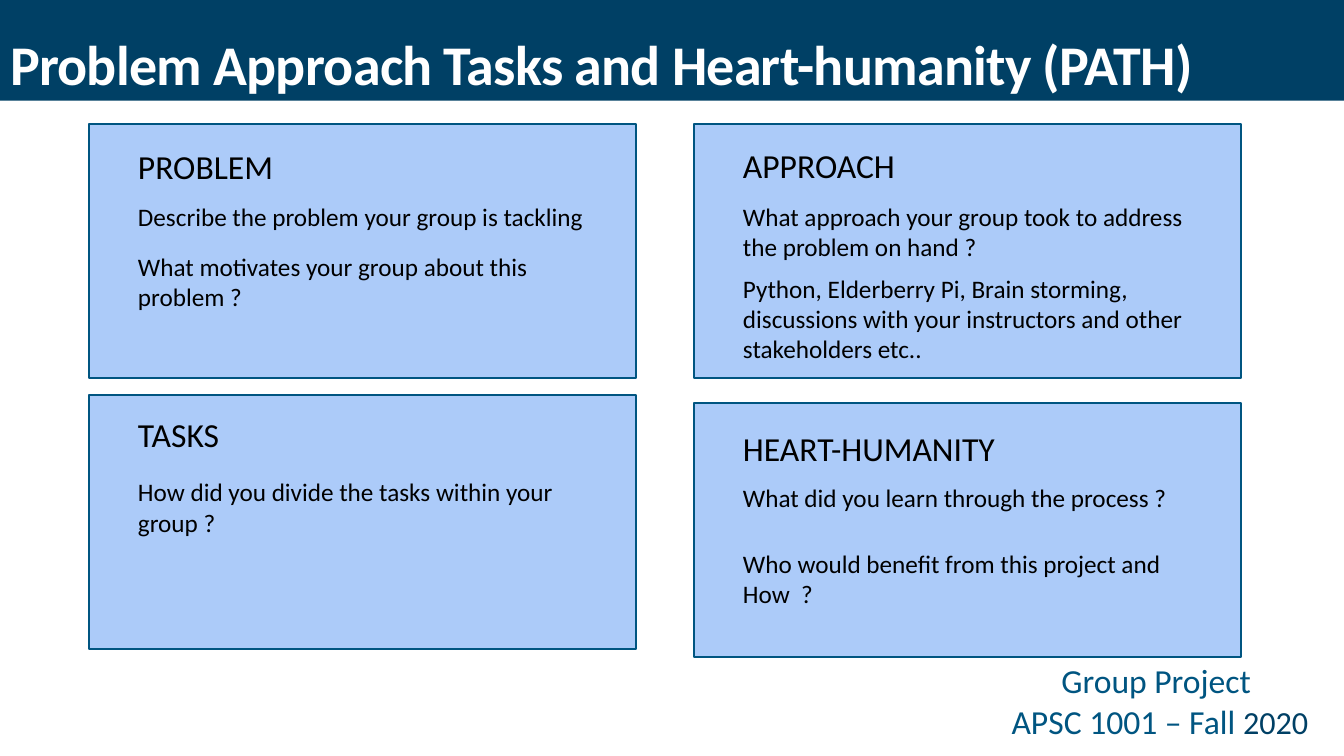
from pptx import Presentation
from pptx.dml.color import RGBColor
from pptx.enum.shapes import MSO_SHAPE as Shape
from pptx.enum.text import MSO_ANCHOR as Anchor, MSO_AUTO_SIZE as AutoSize, PP_ALIGN as Align
from pptx.util import Inches, Pt

NAVY = RGBColor(0x00, 0x40, 0x65)
BLUE = RGBColor(0x00, 0x55, 0x81)
PALE_BLUE = RGBColor(0xAC, 0xCB, 0xF9)
WHITE = RGBColor(0xFF, 0xFF, 0xFF)
BLACK = RGBColor(0x00, 0x00, 0x00)

SLIDE_WIDTH, SLIDE_HEIGHT = 13.33, 7.5
CARD_WIDTH, CARD_HEIGHT = 5.43, 2.52
LEFT_COLUMN, RIGHT_COLUMN = 0.88, 6.88
TEXT_INDENT, TEXT_WIDTH = 0.39, 4.65
LINE_HEIGHT, TEXT_MARGIN = 0.3, 0.1

CARDS = [
    (LEFT_COLUMN, 1.23, "PROBLEM", 0.17, [
        (0.72, 1, "Describe the problem your group is tackling"),
        (1.21, 2, "What motivates your group about this problem ?"),
    ]),
    (RIGHT_COLUMN, 1.23, "APPROACH", 0.16, [
        (0.72, 2, "What approach your group took to address the problem on hand ?"),
        (1.43, 3, "Python, Elderberry Pi, Brain storming, discussions with your "
                  "instructors and other stakeholders etc.."),
    ]),
    (LEFT_COLUMN, 3.92, "TASKS", 0.14, [
        (0.76, 2, "How did you divide the tasks within your group ?"),
    ]),
    (RIGHT_COLUMN, 4, "HEART-HUMANITY", 0.2, [
        (0.74, 1, "What did you learn through the process ?"),
        (1.39, 2, "Who would benefit from this project and How  ?"),
    ]),
]


def set_all(target, values):
    for name, value in values.items():
        setattr(target, name, value)


def add_run(paragraph, text, size, color, bold=False):
    run = paragraph.add_run()
    run.text = text
    set_all(run.font, {"name": "Calibri", "size": Pt(size), "bold": bold})
    run.font.color.rgb = color
    return run


def add_rectangle(slide, left, top, width, height, fill, line=None):
    shape = slide.shapes.add_shape(
        Shape.RECTANGLE, Inches(left), Inches(top), Inches(width), Inches(height))
    shape.shadow.inherit = False
    shape.fill.solid()
    shape.fill.fore_color.rgb = fill
    if line is None:
        shape.line.fill.background()
    else:
        shape.line.color.rgb = line
        shape.line.width = Pt(1.25)
    return shape


def add_text(slide, left, top, width, height, text, size):
    box = slide.shapes.add_textbox(Inches(left), Inches(top), Inches(width), Inches(height))
    box.text_frame.word_wrap = True
    add_run(box.text_frame.paragraphs[0], text, size, BLACK)


def add_header(slide, left, top, width, height):
    band = add_rectangle(slide, left, top, width, height, NAVY)
    title = slide.shapes.title
    title.element.addprevious(band.element)
    set_all(title, {"left": Inches(left), "top": Inches(top - 0.03),
                    "width": Inches(width), "height": Inches(height + 0.04)})
    set_all(title.text_frame, {"vertical_anchor": Anchor.BOTTOM, "word_wrap": True,
                               "auto_size": AutoSize.NONE})
    paragraph = title.text_frame.paragraphs[0]
    set_all(paragraph, {"alignment": Align.LEFT, "line_spacing": 0.85})
    run = add_run(paragraph, "Problem Approach Tasks and Heart-humanity (PATH)", 40, WHITE, True)
    run.font._element.set("spc", "-50")


def add_card(slide, left, top, heading, heading_offset, notes):
    add_rectangle(slide, left, top, CARD_WIDTH, CARD_HEIGHT, PALE_BLUE, BLUE)
    text_left = left + TEXT_INDENT
    add_text(slide, text_left, top + heading_offset, TEXT_WIDTH, 0.5, heading, 24)
    for offset, lines, note in notes:
        height = lines * LINE_HEIGHT + TEXT_MARGIN
        add_text(slide, text_left, top + offset, TEXT_WIDTH, height, note, 18)


def add_footer(slide, left, top, width, height):
    box = slide.shapes.add_textbox(Inches(left), Inches(top), Inches(width), Inches(height))
    frame = box.text_frame
    frame.word_wrap = False
    project, course = frame.paragraphs[0], frame.add_paragraph()
    for paragraph in (project, course):
        paragraph.alignment = Align.CENTER
    add_run(project, "Group Project ", 24, BLUE)
    add_run(course, "APSC 1001 – Fall ", 24, BLUE)
    add_run(course, "2020", 23, NAVY)


def main():
    presentation = Presentation()
    set_all(presentation, {"slide_width": Inches(SLIDE_WIDTH),
                           "slide_height": Inches(SLIDE_HEIGHT)})
    slide = presentation.slides.add_slide(presentation.slide_layouts.get_by_name("Title Only"))
    add_header(slide, 0, 0, SLIDE_WIDTH, 1)
    for card in CARDS:
        add_card(slide, *card)
    add_footer(slide, 9.91, 6.5, 3.19, 0.91)
    presentation.save("out.pptx")


if __name__ == "__main__":
    main()
